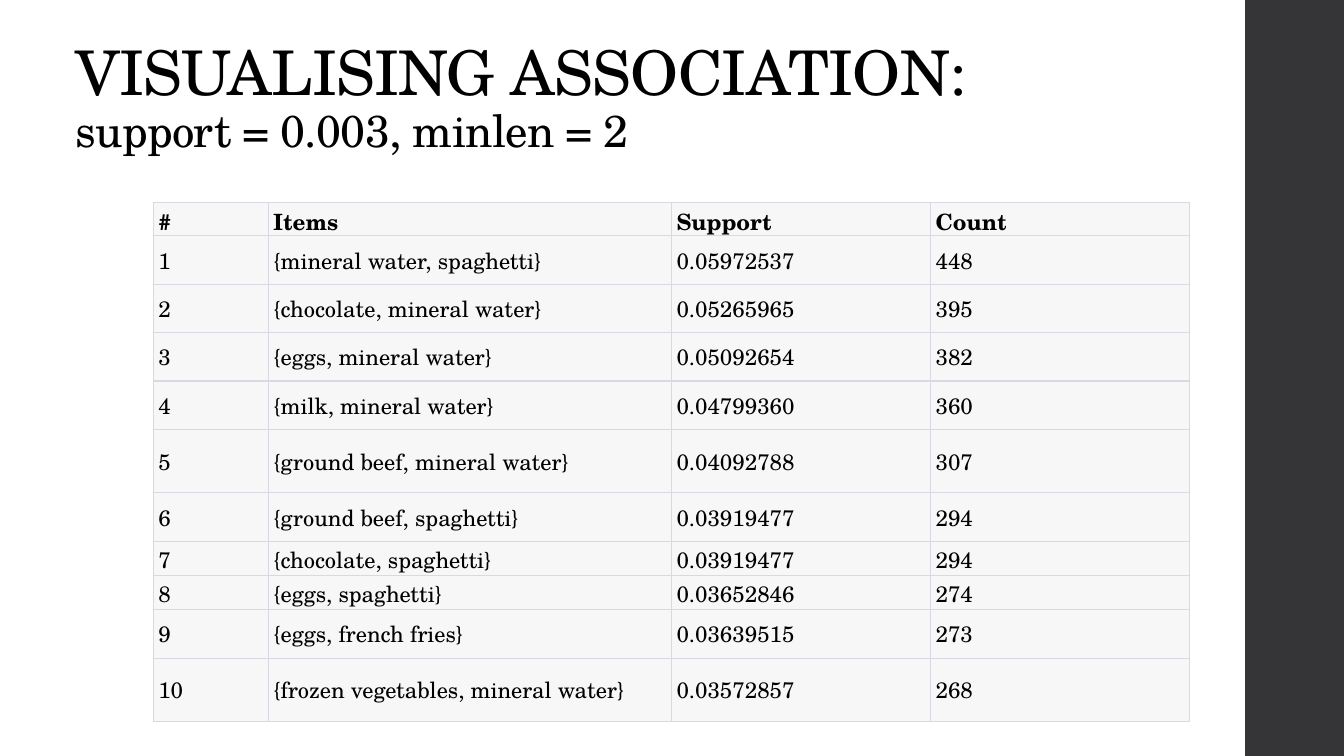
from lxml import etree
from pptx import Presentation
from pptx.dml.color import RGBColor
from pptx.enum.shapes import MSO_SHAPE
from pptx.enum.text import MSO_ANCHOR
from pptx.oxml.ns import qn
from pptx.util import Inches, Pt

TITLE = "VISUALISING ASSOCIATION:"
SETTINGS = "support = 0.003, minlen = 2"
HEADINGS = ("#", "Items", "Support", "Count")
ITEMSETS = [
    ("{mineral water, spaghetti}", "0.05972537", "448"),
    ("{chocolate, mineral water}", "0.05265965", "395"),
    ("{eggs, mineral water}", "0.05092654", "382"),
    ("{milk, mineral water}", "0.04799360", "360"),
    ("{ground beef, mineral water}", "0.04092788", "307"),
    ("{ground beef, spaghetti}", "0.03919477", "294"),
    ("{chocolate, spaghetti}", "0.03919477", "294"),
    ("{eggs, spaghetti}", "0.03652846", "274"),
    ("{eggs, french fries}", "0.03639515", "273"),
    ("{frozen vegetables, mineral water}", "0.03572857", "268"),
]
COLUMN_WIDTHS = (1.14, 4, 2.57, 2.57)
ROW_HEIGHTS = (0.33, 0.48, 0.48, 0.48, 0.48, 0.63, 0.48, 0.34, 0.34, 0.48, 0.63)

FONT = "TeX Gyre Schola"
BLACK = RGBColor(0x00, 0x00, 0x00)
SIDEBAR = RGBColor(0x35, 0x35, 0x37)
CELL_FILL = RGBColor(0xF7, 0xF7, 0xF8)
BORDER = RGBColor(0xD9, 0xD9, 0xE3)
RECTANGLE = MSO_SHAPE.RECTANGLE
BOTTOM, MIDDLE = MSO_ANCHOR.BOTTOM, MSO_ANCHOR.MIDDLE
THIN, THICK = 0.6, 1


def style_span(span, size, bold=False):
    """Set the typeface, size, weight and colour of a run."""
    span.font.name = FONT
    span.font.size = Pt(size)
    span.font.bold = bold
    span.font.color.rgb = BLACK


def add_sidebar(page):
    """Draw the dark band on the right edge."""
    band = page.shapes.add_shape(
        RECTANGLE, Inches(12.35), 0, Inches(0.98), Inches(7.5))
    band.shadow.inherit = False
    band.fill.solid()
    band.fill.fore_color.rgb = SIDEBAR
    band.line.fill.background()


def add_title(page):
    """Place the title with the rule settings on its second line."""
    box = page.shapes.add_textbox(
        Inches(0.65), Inches(0.16), Inches(10.6), Inches(1.45))
    frame = box.text_frame
    frame.word_wrap = True
    frame.vertical_anchor = BOTTOM
    para = frame.paragraphs[0]
    para.text = f"{TITLE}\v{SETTINGS}"
    para.line_spacing = 0.9
    for span, size in zip(para.runs, (44, 32)):
        style_span(span, size)
        span.font._element.set("spc", "-50")


def set_borders(cell, top, bottom):
    """Line all four sides of a cell, with thin vertical sides."""
    properties = cell._tc.get_or_add_tcPr()
    widths = {"a:lnL": THIN, "a:lnR": THIN, "a:lnT": top, "a:lnB": bottom}
    for side, width in widths.items():
        line = etree.SubElement(properties, qn(side), w=str(int(Pt(width))))
        fill = etree.SubElement(line, qn("a:solidFill"))
        etree.SubElement(fill, qn("a:srgbClr"), val=str(BORDER))


def style_cell(cell, text, is_heading, top, bottom):
    """Write one cell and set its borders, fill and margins."""
    set_borders(cell, top, bottom)
    cell.fill.solid()
    cell.fill.fore_color.rgb = CELL_FILL
    cell.margin_left = cell.margin_right = Inches(0.05)
    cell.margin_top = cell.margin_bottom = Inches(0.02)
    cell.vertical_anchor = BOTTOM if is_heading else MIDDLE
    cell.text_frame.text = text
    style_span(cell.text_frame.paragraphs[0].runs[0], 16, is_heading)


def add_itemset_table(page):
    """Build the table of numbered item sets."""
    rows = [HEADINGS]
    rows += [(str(rank), *itemset) for rank, itemset in enumerate(ITEMSETS, 1)]
    table = page.shapes.add_table(
        len(rows), len(HEADINGS), Inches(1.52), Inches(2.01),
        Inches(sum(COLUMN_WIDTHS)), Inches(sum(ROW_HEIGHTS))).table
    for column, width in zip(table.columns, COLUMN_WIDTHS):
        column.width = Inches(width)
    for row, height in zip(table.rows, ROW_HEIGHTS):
        row.height = Inches(height)
    last = len(rows) - 1
    for r, values in enumerate(rows):
        top = THIN if r == 0 else THICK
        bottom = THIN if r == last else THICK
        for c, value in enumerate(values):
            style_cell(table.cell(r, c), value, r == 0, top, bottom)


deck = Presentation()
deck.slide_width, deck.slide_height = Inches(13.33), Inches(7.5)
page = deck.slides.add_slide(deck.slide_layouts[6])
add_sidebar(page)
add_title(page)
add_itemset_table(page)
deck.save("out.pptx")
